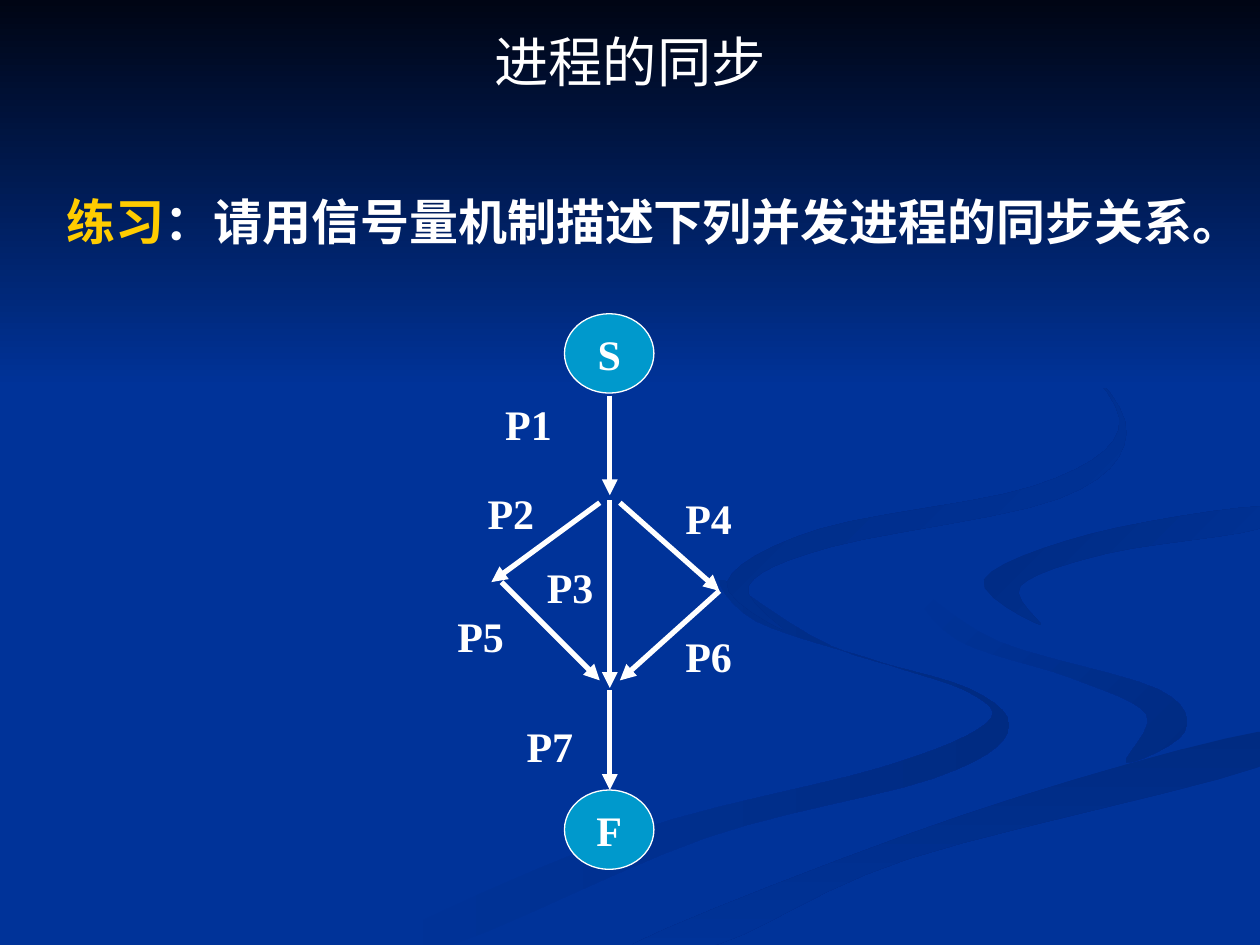
from dataclasses import dataclass

from lxml.etree import SubElement
from pptx import Presentation
from pptx.dml.color import RGBColor
from pptx.enum.shapes import MSO_CONNECTOR, MSO_SHAPE
from pptx.enum.text import MSO_ANCHOR, MSO_AUTO_SIZE, PP_ALIGN
from pptx.oxml.ns import qn
from pptx.util import Inches, Pt


@dataclass(frozen=True)
class Theme:
    background: str = "003399"
    night: str = "000514"
    shade: str = "002B82"
    node: str = "0099CC"
    text: str = "FFFFFF"
    accent: str = "FFCC00"
    latin: str = "Times New Roman"
    chinese: str = "Noto Sans CJK SC"
    title_size: int = 31
    body_size: int = 28
    label_size: int = 24


THEME = Theme()

RIBBONS = [
    (THEME.background, THEME.shade, 0, [
        (5.74, 4.6), (6, 4.93), (7, 5.26), (7.7, 5.5), (7.83, 5.74), (7, 6.09), (5, 6.61),
        (3, 7.49), (3.61, 7.49), (5.6, 6.65), (7.4, 6.18), (8, 5.81), (7.7, 5.47), (6.6, 5.13)]),
    (THEME.background, THEME.shade, 45, [
        (7.24, 4.64), (7.6, 5.08), (8.5, 5.38), (9.1, 5.67), (8.94, 6.05),
        (9.4, 5.81), (9.19, 5.47), (7.92, 5.09)]),
    (THEME.shade, THEME.background, 90, [
        (5.03, 7.49), (5.71, 7.49), (7.2, 6.82), (9.98, 6.09), (9.98, 5.81), (7.64, 6.47)]),
    (THEME.shade, THEME.background, 45, [
        (7.81, 4.6), (8.26, 4.96), (8.1, 4.65), (8.8, 4.39), (9.98, 4.2), (9.98, 4.02),
        (8.65, 4.24)]),
    (THEME.shade, THEME.background, 45, [
        (7.62, 2.33), (8.5, 2.81), (8.88, 3.41), (8.2, 3.86), (6.5, 4.2), (5.77, 4.62),
        (6.22, 5), (5.94, 4.65), (6.6, 4.34), (8.4, 3.96), (8.94, 3.44), (8.5, 2.8)]),
]


def color(value):
    return RGBColor.from_string(value)


def spline(a, b, c, d, t):
    return (2 * b + (c - a) * t + (2 * a - 5 * b + 4 * c - d) * t ** 2
            + (3 * b - a - 3 * c + d) * t ** 3) / 2


def smooth_outline(points, steps=6):
    count = len(points)
    for index in range(count):
        corners = [points[(index + shift) % count] for shift in (-1, 0, 1, 2)]
        for step in range(steps):
            yield tuple(spline(*axis, step / steps) for axis in zip(*corners))


def paint_gradient(shape, start, end, angle):
    shape.shadow.inherit = False
    shape.line.fill.background()
    shape.fill.gradient()
    shape.fill.gradient_angle = (360 - angle) % 360
    for stop, value in zip(shape.fill.gradient_stops, (start, end)):
        stop.color.rgb = color(value)


def add_backdrop(slide, left, top, width):
    slide.background.fill.solid()
    slide.background.fill.fore_color.rgb = color(THEME.background)
    for start, end, angle, points in RIBBONS:
        outline = [(Inches(left + x), Inches(top + y)) for x, y in smooth_outline(points)]
        builder = slide.shapes.build_freeform(*outline[0], scale=1.0)
        builder.add_line_segments(outline[1:], close=True)
        paint_gradient(builder.convert_to_shape(), start, end, angle)
    sky = slide.shapes.add_shape(
        MSO_SHAPE.RECTANGLE, Inches(left), Inches(top), Inches(width), Inches(3.08))
    paint_gradient(sky, THEME.night, THEME.background, 90)


def fill_placeholder(slide, placeholder, box, runs, size, latin, bold):
    slide.shapes._spTree.append(placeholder._element)
    placeholder.left, placeholder.top, placeholder.width, placeholder.height = map(Inches, box)
    frame = placeholder.text_frame
    frame.word_wrap = True
    frame.auto_size = MSO_AUTO_SIZE.NONE
    paragraph = frame.paragraphs[0]
    paragraph.space_before = Pt(0)
    for text, value in runs:
        run = paragraph.add_run()
        run.text = text
        run.font.size = Pt(size)
        run.font.bold = bold
        run.font.color.rgb = color(value)
        run.font.name = latin
        SubElement(run._r.get_or_add_rPr(), qn("a:ea"), typeface=THEME.chinese)
    return paragraph


def add_title(slide, box):
    paragraph = fill_placeholder(slide, slide.shapes.title, box, [("进程的同步", THEME.text)],
                                 THEME.title_size, THEME.chinese, False)
    paragraph.alignment = PP_ALIGN.CENTER
    paragraph.line_spacing = 0.8
    slide.shapes.title.text_frame.vertical_anchor = MSO_ANCHOR.MIDDLE


def add_exercise(slide, box):
    runs = [("练习", THEME.accent), ("：请用信号量机制描述下列并发进程的同步关系。", THEME.text)]
    paragraph = fill_placeholder(slide, slide.placeholders[1], box, runs,
                                 THEME.body_size, THEME.latin, True)
    paragraph.line_spacing = 0.85
    properties = paragraph._p.get_or_add_pPr()
    properties.set("marL", str(Inches(0.38)))
    properties.set("indent", str(Inches(-0.38)))
    SubElement(properties, qn("a:buNone"))


def add_node(slide, text, left, top, width, height, fill=None):
    node = slide.shapes.add_shape(
        MSO_SHAPE.OVAL, Inches(left), Inches(top), Inches(width), Inches(height))
    node.shadow.inherit = False
    if fill:
        node.fill.solid()
        node.fill.fore_color.rgb = color(fill)
        node.line.color.rgb = color(THEME.text)
        node.line.width = Pt(0.75)
    else:
        node.fill.background()
        node.line.fill.background()
    frame = node.text_frame
    frame.word_wrap = False
    frame.vertical_anchor = MSO_ANCHOR.MIDDLE
    paragraph = frame.paragraphs[0]
    paragraph.text = text
    paragraph.alignment = PP_ALIGN.CENTER
    paragraph.font.size = Pt(THEME.label_size)
    paragraph.font.name = THEME.latin
    paragraph.font.bold = True
    paragraph.font.color.rgb = color(THEME.text)


def add_arrow(slide, start, end):
    arrow = slide.shapes.add_connector(MSO_CONNECTOR.STRAIGHT, *map(Inches, start + end))
    arrow.line.color.rgb = color(THEME.text)
    arrow.line.width = Pt(3)
    SubElement(arrow.line._get_or_add_ln(), qn("a:tailEnd"), type="triangle")
    SubElement(arrow._element.spPr, qn("a:effectLst"))


def add_process_graph(slide, left, top):
    for text, y in (("S", 0), ("F", 3.78)):
        add_node(slide, text, left + 0.9, top + y, 0.71, 0.63, THEME.node)
    axis = left + 1.26
    for start, end in ((0.65, 1.44), (1.48, 2.97), (2.99, 3.78)):
        add_arrow(slide, (axis, top + start), (axis, top + end))
    fork, join = top + 1.5, top + 2.91
    for side, tip, tail, middle in ((-0.08, -0.94, -0.86, 2.13), (0.08, 0.87, 0.87, 2.2)):
        add_arrow(slide, (axis + side, fork), (axis + tip, top + middle))
        add_arrow(slide, (axis + tail, top + middle), (axis + side, join))
    labels = [("P1", 0.38, 0.68), ("P2", 0.24, 1.38), ("P3", 0.71, 1.97), ("P4", 1.81, 1.42),
              ("P5", 0, 2.36), ("P6", 1.81, 2.52), ("P7", 0.55, 3.23)]
    for text, x, y in labels:
        add_node(slide, text, left + x, top + y, 0.47, 0.39)


def main():
    presentation = Presentation()
    presentation.slide_width, presentation.slide_height = Inches(10), Inches(7.5)
    slide = presentation.slides.add_slide(presentation.slide_layouts[1])
    add_backdrop(slide, 0, 0, 10)
    add_exercise(slide, (0.43, 1.54, 9.37, 0.79))
    add_title(slide, (0.75, 0.21, 8.5, 0.64))
    add_process_graph(slide, 3.58, 2.49)
    presentation.save("out.pptx")


if __name__ == "__main__":
    main()
